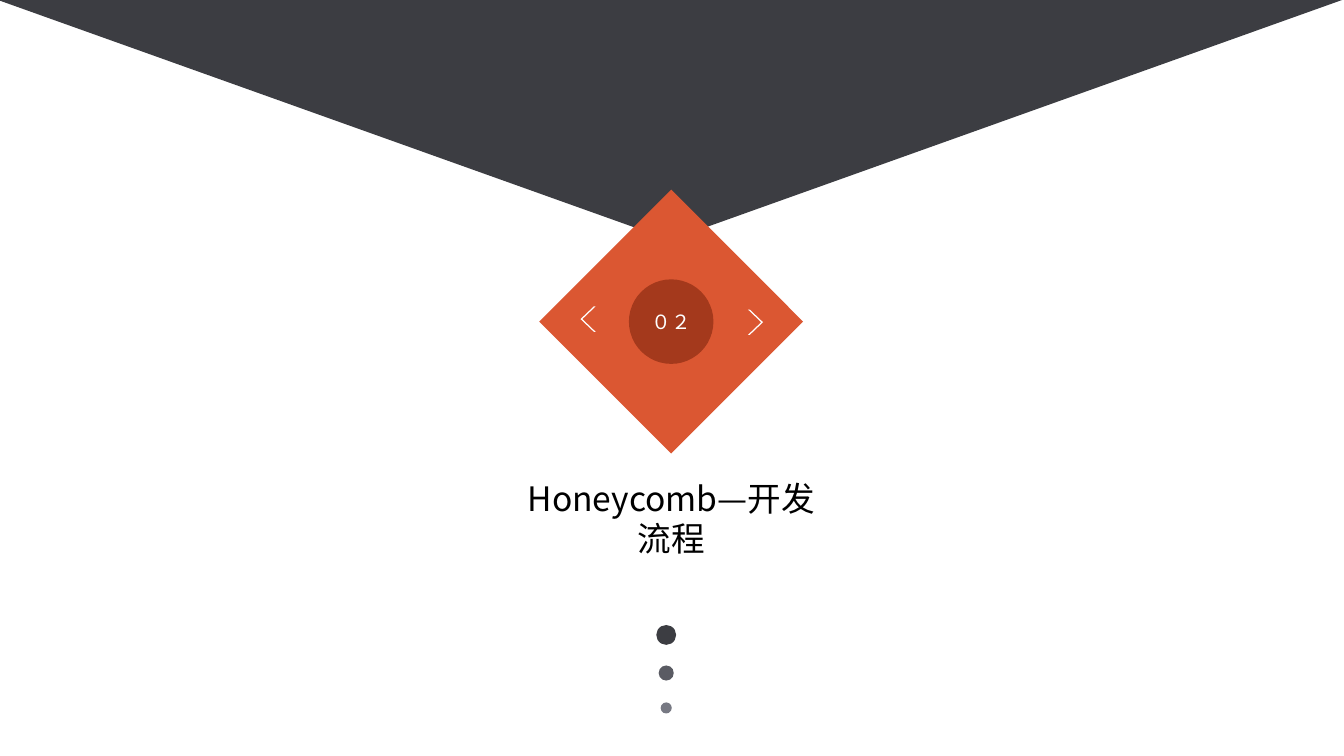
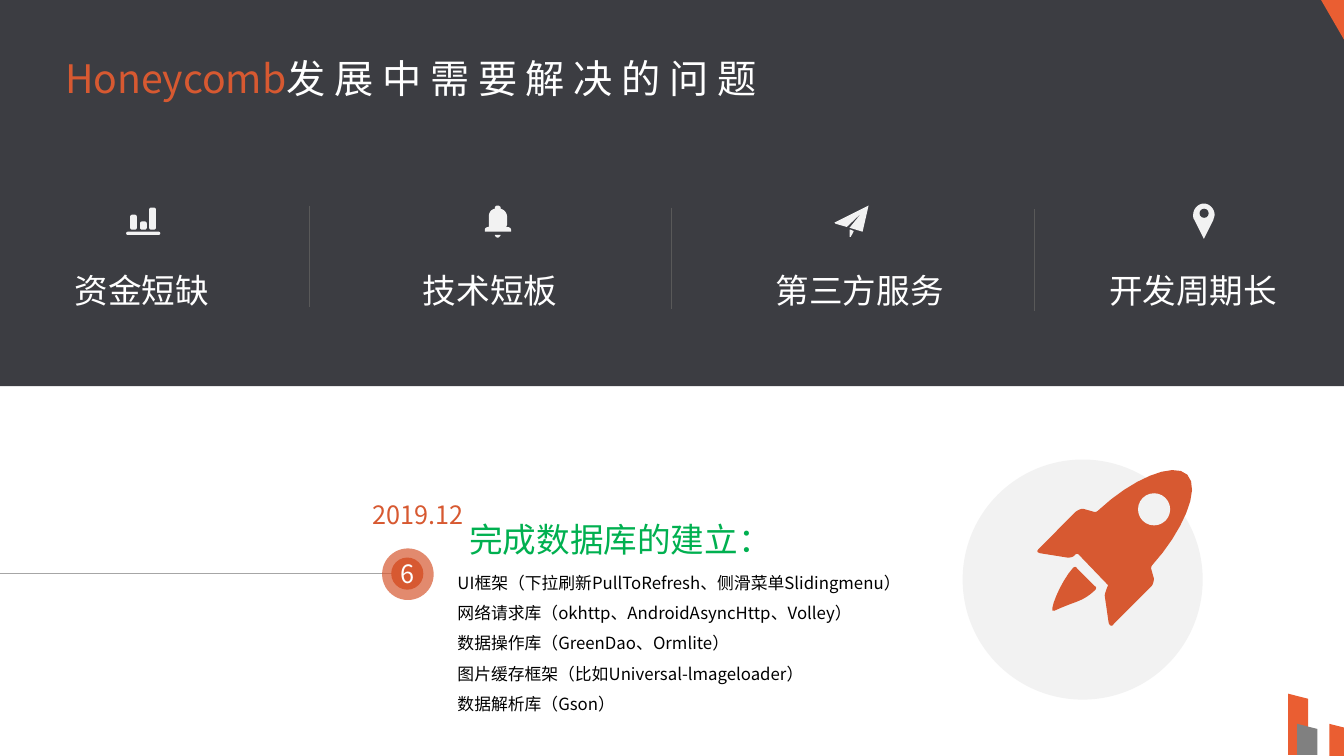
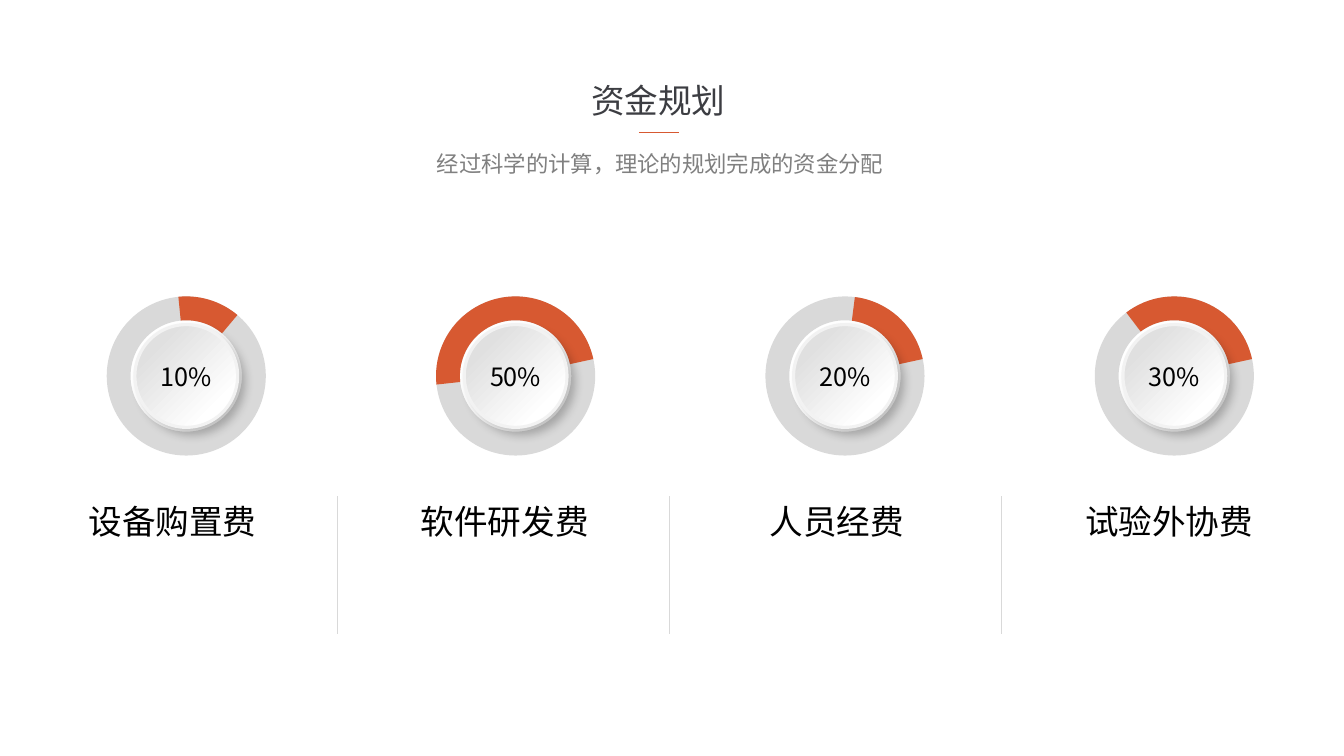
from lxml.etree import SubElement
from pptx import Presentation
from pptx.dml.color import RGBColor
from pptx.enum.shapes import MSO_CONNECTOR, MSO_SHAPE
from pptx.enum.text import MSO_ANCHOR, MSO_AUTO_SIZE, PP_ALIGN
from pptx.oxml.ns import qn
from pptx.util import Cm, Pt

FONT = "Noto Sans CJK SC"
DARK, ORANGE, FLAME = "3C3D42", "D75931", "EA5E32"
WHITE, BLACK, PALE, SILVER, GREY = "FFFFFF", "000000", "F2F2F2", "D9D9D9", "808080"
CURVE_STEPS = 8

BELL = [
    (12.75, 5.72), (12.78, 5.69, 12.78, 5.66, 12.78, 5.64), (12.78, 5.46),
    (12.78, 5.36, 12.7, 5.28, 12.62, 5.26), (12.62, 5.23),
    (12.62, 5.21, 12.57, 5.18, 12.55, 5.18), (12.5, 5.18, 12.47, 5.21, 12.47, 5.23),
    (12.47, 5.26), (12.37, 5.28, 12.32, 5.36, 12.32, 5.46), (12.32, 5.72),
    (12.27, 5.72, 12.22, 5.74, 12.22, 5.79), (12.22, 5.84), (12.88, 5.84),
    (12.88, 5.79), (12.88, 5.74, 12.83, 5.72, 12.75, 5.72),
]
CLAPPER = [
    (12.47, 5.92), (12.62, 5.92), (12.62, 5.94, 12.57, 5.99, 12.55, 5.99),
    (12.5, 5.99, 12.47, 5.94, 12.47, 5.92),
]
PLANE = [
    (21.89, 5.18), (21.03, 5.61), (21.06, 5.64), (21.34, 5.72),
    (21.72, 5.36), (21.41, 5.74), (21.74, 5.84),
]
PLANE_TAIL = [
    (21.44, 5.79), (21.41, 5.79), (21.41, 5.97), (21.44, 5.97),
    (21.51, 5.84), (21.51, 5.82),
]
PIN = [
    (30.61, 5.41), (30.61, 5.26, 30.48, 5.13, 30.34, 5.13),
    (30.2, 5.13, 30.07, 5.26, 30.07, 5.41), (30.07, 5.46, 30.07, 5.51, 30.1, 5.54),
    (30.34, 6.02), (30.58, 5.54), (30.58, 5.51, 30.61, 5.46, 30.61, 5.41),
]
ROCKET_FLAME = [
    (27.15, 14.33), (27.1, 14.25, 27.08, 14.3, 27.05, 14.3),
    (26.72, 14.66, 26.39, 15.49, 26.57, 15.39),
    (27.18, 15.11, 27.25, 15.19, 27.61, 14.86),
    (27.61, 14.83, 27.66, 14.81, 27.58, 14.76),
]
ROCKET_BODY = [
    (29.01, 14.33), (29.01, 14.27, 29.03, 14.25, 29.03, 14.25),
    (29.79, 13.41, 30.28, 12.32, 29.92, 11.96),
    (29.57, 11.61, 28.5, 12.09, 27.69, 12.85),
    (27.66, 12.88, 27.64, 12.9, 27.58, 12.9), (27.33, 12.83),
    (27.25, 12.8, 27.18, 12.85, 27.1, 12.9), (26.19, 13.82),
    (26.11, 13.89, 26.14, 13.92, 26.21, 13.94), (26.9, 14.05),
    (26.95, 14.05, 27.05, 14.05, 27.1, 13.97),
    (27.1, 13.97, 27.15, 13.94, 27.18, 13.97), (27.91, 14.73),
    (27.94, 14.73, 27.91, 14.78, 27.91, 14.78),
    (27.89, 14.83, 27.84, 14.96, 27.84, 15.01), (27.94, 15.7),
    (27.97, 15.77, 28.02, 15.8, 28.07, 15.72), (29.01, 14.78),
    (29.06, 14.73, 29.08, 14.63, 29.08, 14.58),
]


def rgb(color):
    return RGBColor.from_string(color)


def paint(sp, color):
    sp.shadow.inherit = False
    sp.fill.solid()
    sp.fill.fore_color.rgb = rgb(color)
    sp.line.fill.background()
    return sp


def add_preset(s, kind, x, y, w, h, color, rotation=0, adj=()):
    sp = s.shapes.add_shape(kind, Cm(x), Cm(y), Cm(w), Cm(h))
    sp.rotation = rotation
    for i, value in enumerate(adj):
        sp.adjustments[i] = value
    return paint(sp, color)


def add_circle(s, x, y, d, color):
    return add_preset(s, MSO_SHAPE.OVAL, x, y, d, d, color)


def flatten(outline):
    points = [outline[0]]
    for step in outline[1:]:
        if len(step) == 2:
            points.append(step)
            continue
        x0, y0 = points[-1]
        x1, y1, x2, y2, x3, y3 = step
        for i in range(1, CURVE_STEPS + 1):
            t = i / CURVE_STEPS
            a, b, c, d = (1 - t) ** 3, 3 * t * (1 - t) ** 2, 3 * t * t * (1 - t), t ** 3
            points.append((a * x0 + b * x1 + c * x2 + d * x3,
                           a * y0 + b * y1 + c * y2 + d * y3))
    return [(Cm(x), Cm(y)) for x, y in points]


def add_outline(s, outline, color):
    points = flatten(outline)
    builder = s.shapes.build_freeform(*points[0])
    builder.add_line_segments(points[1:], close=True)
    return paint(builder.convert_to_shape(), color)


def add_line(s, x1, y1, x2, y2, color):
    line = s.shapes.add_connector(MSO_CONNECTOR.STRAIGHT, Cm(x1), Cm(y1), Cm(x2), Cm(y2))
    line.line.color.rgb = rgb(color)
    line.line.width = Pt(0.5)
    SubElement(line._element.spPr, qn("a:effectLst"))


def add_run(p, text, size, color):
    r = p.add_run()
    r.text = text
    r.font.size = Pt(size)
    r.font.color.rgb = rgb(color)
    r.font.name = FONT
    SubElement(r._r.get_or_add_rPr(), qn("a:ea")).set("typeface", FONT)


def add_text(s, x, y, w, h, paragraphs, size, align=PP_ALIGN.LEFT, spacing=None):
    tf = s.shapes.add_textbox(Cm(x), Cm(y), Cm(w), Cm(h)).text_frame
    tf.word_wrap = True
    tf.auto_size = MSO_AUTO_SIZE.SHAPE_TO_FIT_TEXT
    for i, runs in enumerate(paragraphs):
        p = tf.add_paragraph() if i else tf.paragraphs[0]
        p.alignment = align
        if spacing:
            p.line_spacing = spacing
        for text, color in runs:
            add_run(p, text, size, color)


def label_shape(sp, text, size, color):
    tf = sp.text_frame
    tf.margin_left = tf.margin_right = tf.margin_top = tf.margin_bottom = 0
    tf.vertical_anchor = MSO_ANCHOR.MIDDLE
    p = tf.paragraphs[0]
    p.alignment = PP_ALIGN.CENTER
    add_run(p, text, size, color)


def set_alpha(color_element, percent):
    SubElement(color_element, qn("a:alpha")).set("val", str(percent * 1000))


def add_button_style(sp):
    sp.fill.gradient()
    sp.fill.gradient_angle = 315
    for stop, position, color in zip(sp.fill.gradient_stops, (0.2, 0.8), ("E0E0E0", WHITE)):
        stop.position = position
        stop.color.rgb = rgb(color)
    sp.line.color.rgb = rgb(PALE)
    sp.line.width = Pt(2.25)
    effects = sp._element.spPr.find(qn("a:effectLst"))
    shadow = SubElement(effects, qn("a:outerShdw"), blurRad=str(Pt(7)), dist=str(Pt(5.9)),
                        dir="2700000", algn="tl", rotWithShape="0")
    set_alpha(SubElement(shadow, qn("a:srgbClr"), val=BLACK), 23)


def add_gauge(s, x, y, text, start, end):
    d, inset = 4.01, 0.71
    add_preset(s, MSO_SHAPE.DONUT, x, y, d, d, SILVER, adj=(0.15,))
    add_preset(s, MSO_SHAPE.BLOCK_ARC, x, y, d, d, ORANGE,
               adj=(start * 0.6, end * 0.6, 0.15))
    button = add_circle(s, x + inset, y + inset, 2.59, WHITE)
    add_button_style(button)
    label_shape(button, text, 18, BLACK)


def build_section(s):
    add_preset(s, MSO_SHAPE.ISOSCELES_TRIANGLE, -0.05, 0, 33.87, 6.05, DARK, 180)
    add_preset(s, MSO_SHAPE.DIAMOND, 13.59, 4.78, 6.65, 6.65, "DB5732")
    label_shape(add_circle(s, 15.85, 7.04, 2.13, "A4391C"), "０２", 14, WHITE)
    for x, y, rotation in ((18.85, 7.8, 0), (14.63, 7.72, 180)):
        add_preset(s, MSO_SHAPE.CHEVRON, x, y, 0.38, 0.64, WHITE, rotation, (0.88,))
    add_text(s, 12.73, 11.91, 8.38, 2.31, [[("Honeycomb—开发流程", BLACK)]], 24,
             PP_ALIGN.CENTER)
    for y, d, color in ((15.75, 0.5, DARK), (16.77, 0.38, "5A5B63"), (17.7, 0.28, "777983")):
        add_circle(s, 16.79 - d / 2, y, d, color)


def add_milestone(s):
    add_line(s, 10.26, 14.45, 0, 14.45, "A6A6A6")
    halo = add_circle(s, 9.63, 13.82, 1.3, ORANGE)
    set_alpha(halo._element.spPr.find(qn("a:solidFill"))[0], 70)
    label_shape(add_circle(s, 9.86, 14.05, 0.81, ORANGE), "6", 18, WHITE)
    add_text(s, 9.14, 12.45, 3.07, 1.02, [[("2019.12", ORANGE)]], 18)
    libraries = (
        "UI框架（下拉刷新PullToRefresh、侧滑菜单Slidingmenu）",
        "网络请求库（okhttp、AndroidAsyncHttp、Volley）",
        "数据操作库（GreenDao、Ormlite）",
        "图片缓存框架（比如Universal-lmageloader）",
        "数据解析库（Gson）",
    )
    add_text(s, 11.28, 14.05, 12.65, 4.09, [[(text, BLACK)] for text in libraries], 12,
             spacing=1.5)
    add_text(s, 11.58, 12.45, 12.65, 1.8, [[("完成数据库的建立：", "00B050")]], 24,
             spacing=1.5)


def add_rocket(s):
    add_circle(s, 24.26, 11.58, 6.05, PALE)
    add_outline(s, ROCKET_FLAME, ORANGE)
    add_outline(s, ROCKET_BODY, ORANGE)
    add_circle(s, 28.68, 12.43, 0.81, PALE)


def add_icons(s):
    for x, h in ((3.28, 0.38), (3.53, 0.21), (3.76, 0.56)):
        add_preset(s, MSO_SHAPE.ROUNDED_RECTANGLE, x, 5.79 - h, 0.17, h, PALE, adj=(0.3,))
    add_preset(s, MSO_SHAPE.ROUNDED_RECTANGLE, 3.18, 5.84, 0.86, 0.08, PALE, adj=(0.5,))
    for outline in (BELL, CLAPPER, PLANE, PLANE_TAIL, PIN):
        add_outline(s, outline, PALE)
    add_circle(s, 30.23, 5.26, 0.23, DARK)


def add_corner_shards(s):
    w, slope = 0.51, 0.13
    for x, top, bottom, color in ((32.46, 17.48, 19.02, FLAME), (32.69, 18.24, 19.02, GREY),
                                  (33.5, 18.24, 20.37, FLAME)):
        add_outline(s, [(x, top), (x + w, top + slope), (x + w, bottom), (x, bottom)], color)
    add_outline(s, [(32.94, -0.61), (33.45, -0.74), (34.44, 0.99), (34.01, 1.24)], FLAME)


def build_problems(s):
    add_milestone(s)
    add_preset(s, MSO_SHAPE.RECTANGLE, 0, 0, 33.87, 9.73, DARK)
    add_rocket(s)
    add_text(s, 1.39, 1.24, 21.8, 1.45,
             [[("Honeycomb", ORANGE), ("发 展 中 需 要 解 决 的 问 题", WHITE)]], 28)
    add_icons(s)
    for x, w, text in ((1.63, 4.27, "资金短缺"), (10.41, 4.27, "技术短板"),
                       (19.3, 5.51, "第三方服务"), (27.7, 5.0, "开发周期长")):
        add_text(s, x, 6.68, w, 1.27, [[(text, WHITE)]], 24)
    for i in range(3):
        x, y = 7.8 + 9.13 * i, 5.18 + 0.05 * i
        add_line(s, x, y, x, y + 2.55, "595959")
    add_corner_shards(s)


def build_budget(s):
    add_text(s, 12.4, 1.88, 8.38, 1.27, [[("资金规划", DARK)]], 24, PP_ALIGN.CENTER)
    add_text(s, 2.3, 3.33, 28.68, 1.27,
             [[("经过科学的计算，理论的规划完成的资金分配", GREY)]], 16, PP_ALIGN.CENTER, 1.5)
    add_line(s, 16.1, 3.33, 17.12, 3.33, ORANGE)
    costs = (
        ("设备购置费", "10%", 264.31, 310),
        ("软件研发费", "50%", 173.79, 347.73),
        ("人员经费", "20%", 277.14, 347.73),
        ("试验外协费", "30%", 232.87, 347.73),
    )
    for i, (name, share, start, end) in enumerate(costs):
        add_gauge(s, 2.69 + 8.3 * i, 7.47, share, start, end)
        add_text(s, 0.25 + 8.37 * i, 12.5, 8.2, 1.27, [[(name, BLACK)]], 24,
                 PP_ALIGN.CENTER)
    for i in range(3):
        x = 8.51 + 8.36 * i
        add_line(s, x, 12.5, x, 15.98, SILVER)


def main():
    prs = Presentation()
    prs.slide_width, prs.slide_height = Cm(33.87), Cm(19.05)
    for build in (build_section, build_problems, build_budget):
        build(prs.slides.add_slide(prs.slide_layouts[6]))
    prs.save("out.pptx")


if __name__ == "__main__":
    main()
